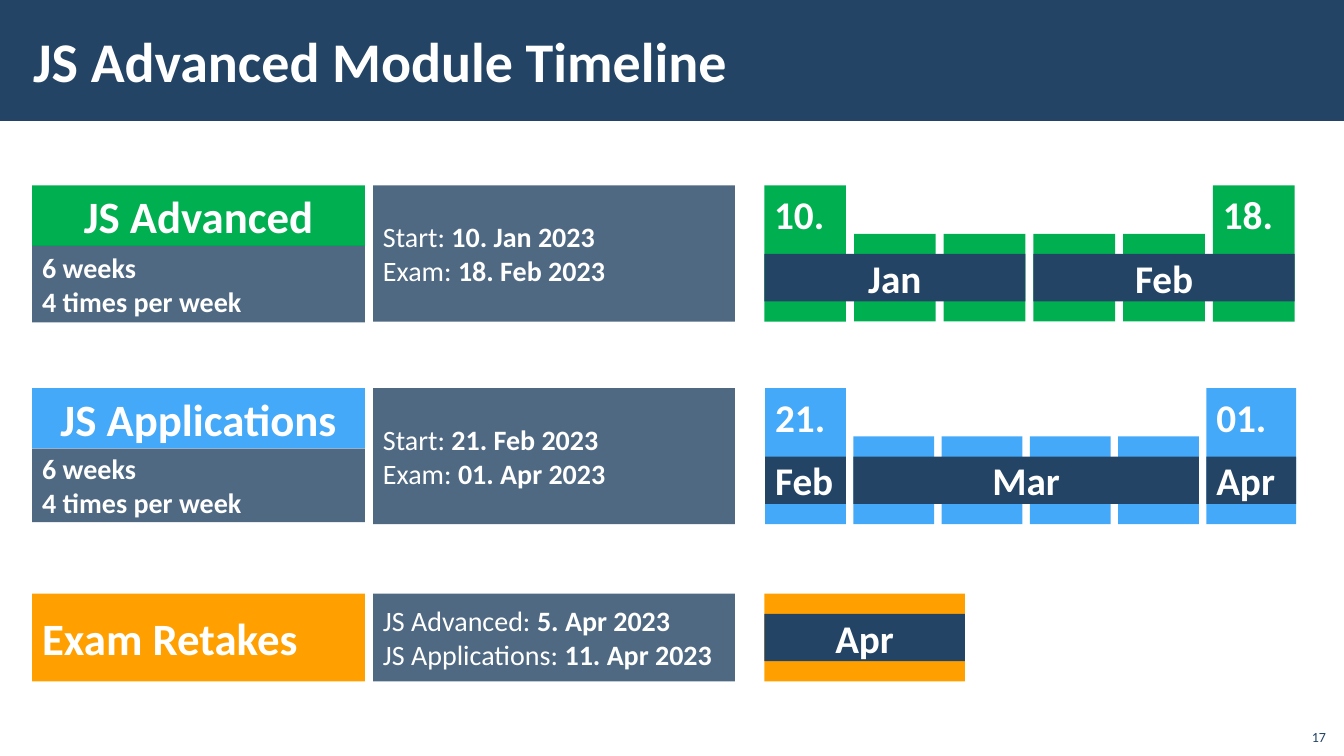
from pptx import Presentation
from pptx.dml.color import RGBColor
from pptx.enum.shapes import MSO_SHAPE as Shape
from pptx.enum.text import MSO_ANCHOR as Anchor, PP_ALIGN as Align
from pptx.oxml.xmlchemy import OxmlElement
from pptx.util import Inches, Pt

NAVY = RGBColor(0x23, 0x44, 0x65)
GREEN = RGBColor(0x00, 0xB0, 0x50)
BLUE = RGBColor(0x44, 0xA9, 0xF8)
ORANGE = RGBColor(0xFF, 0xA0, 0x00)
WHITE = RGBColor(0xFF, 0xFF, 0xFF)

FONT = "Calibri"
LABEL_LEFT, LABEL_WIDTH = 0.32, 3.3
DATES_LEFT, DATES_WIDTH = 3.7, 3.59
LABEL_HEIGHT, MODULE_HEIGHT = 0.6, 1.35
BAR_DROP, BAR_HEIGHT = 0.48, 0.87
MONTH_DROP, MONTH_HEIGHT = 0.68, 0.47
WEEKS = 6


def write(shape, lines, size, color=WHITE, align=Align.LEFT,
          anchor=Anchor.MIDDLE, inset_x=0.1, inset_y=0.05):
    """Fill a shape with lines, each a list of (text, bold) spans."""
    frame = shape.text_frame
    settings = {
        "word_wrap": True, "vertical_anchor": anchor,
        "margin_left": Inches(inset_x), "margin_right": Inches(inset_x),
        "margin_top": Inches(inset_y), "margin_bottom": Inches(inset_y),
    }
    for name, value in settings.items():
        setattr(frame, name, value)
    for index, line in enumerate(lines):
        para = frame.add_paragraph() if index else frame.paragraphs[0]
        para.alignment = align
        for text, bold in line:
            span = para.add_run()
            span.text = text
            span.font.color.rgb = color
            for name, value in {"name": FONT, "size": Pt(size), "bold": bold}.items():
                setattr(span.font, name, value)


def add_box(shapes, left, top, width, height, fill, opacity=100):
    box = shapes.add_shape(Shape.RECTANGLE, Inches(left), Inches(top),
                           Inches(width), Inches(height))
    box.shadow.inherit = False
    box.fill.solid()
    box.fill.fore_color.rgb = fill
    box.line.fill.background()
    if opacity < 100:
        alpha = OxmlElement("a:alpha")
        alpha.set("val", str(opacity * 1000))
        box.fill._xPr.solidFill[0].append(alpha)
    return box


def add_text(slide, left, top, width, height, text, size, bold, **style):
    box = slide.shapes.add_textbox(Inches(left), Inches(top),
                                   Inches(width), Inches(height))
    write(box, [[(text, bold)]], size, **style)


def add_label(slide, top, height, text, fill, align=Align.CENTER):
    label = add_box(slide.shapes, LABEL_LEFT, top, LABEL_WIDTH, height, fill)
    write(label, [[(text, True)]], 32, align=align)


def add_dates(slide, top, height, dates):
    panel = add_box(slide.shapes, DATES_LEFT, top, DATES_WIDTH, height, NAVY, 80)
    write(panel, [[(event + ": ", False), (day, True)] for event, day in dates], 20)


def add_month(shapes, left, top, width, name, align=Align.CENTER):
    month = add_box(shapes, left, top, width, MONTH_HEIGHT, NAVY)
    write(month, [[(name, True)]], 28, align=align, inset_y=0)


def add_calendar(slide, top, fill, left, step, width, last_width, days, months):
    """Draw one bar per week, tall at both ends, under the month bands."""
    shapes = slide.shapes.add_group_shape().shapes
    lefts = [left + week * step for week in range(WEEKS)]
    widths = [width] * (WEEKS - 1) + [last_width]
    for week in range(WEEKS):
        if week in days:
            bar = add_box(shapes, lefts[week], top, widths[week], MODULE_HEIGHT, fill)
            write(bar, [[(days[week], True)]], 28, anchor=Anchor.TOP)
        else:
            add_box(shapes, lefts[week], top + BAR_DROP, widths[week], BAR_HEIGHT, fill)
    for name, first, last in months:
        span = lefts[last] + widths[last] - lefts[first]
        align = Align.LEFT if first == last else Align.CENTER
        add_month(shapes, lefts[first], top + MONTH_DROP, span, name, align)


def add_module(slide, top, name, fill, weeks_height, start, exam, **calendar):
    add_label(slide, top, LABEL_HEIGHT, name, fill)
    weeks = add_box(slide.shapes, LABEL_LEFT, top + LABEL_HEIGHT, LABEL_WIDTH,
                    weeks_height, NAVY, 80)
    write(weeks, [[("6 weeks", True)], [("4 times per week", True)]], 20)
    add_dates(slide, top, MODULE_HEIGHT, [("Start", start), ("Exam", exam)])
    days = {0: start[:3], WEEKS - 1: exam[:3]}
    add_calendar(slide, top, fill, days=days, **calendar)


def add_retakes(slide, top, height):
    add_label(slide, top, height, "Exam Retakes", ORANGE, Align.LEFT)
    add_dates(slide, top, height, [("JS Advanced", "5. Apr 2023"),
                                   ("JS Applications", "11. Apr 2023")])
    shapes = slide.shapes.add_group_shape().shapes
    add_box(shapes, 7.58, top, 1.99, height, ORANGE)
    add_month(shapes, 7.58, top + 0.2, 1.99, "Apr")


def main():
    deck = Presentation()
    deck.slide_width, deck.slide_height = Inches(13.33), Inches(7.5)
    page = deck.slides.add_slide(deck.slide_layouts[6])

    # Header and page number
    add_box(page.shapes, 0, 0, 13.33, 1.2, NAVY)
    add_text(page, 0.21, 0.11, 10.63, 0.97, "JS Advanced Module Timeline", 40, True,
             inset_x=0.12, inset_y=0.04)
    add_text(page, 12.85, 7.12, 0.4, 0.32, "17", 10, False, color=NAVY,
             align=Align.RIGHT, anchor=Anchor.BOTTOM)

    # Course modules
    add_module(page, 1.84, "JS Advanced", GREEN, 0.76, "10. Jan 2023", "18. Feb 2023",
               left=7.58, step=0.89, width=0.81, last_width=0.81,
               months=[("Jan", 0, 2), ("Feb", 3, 5)])
    add_module(page, 3.85, "JS Applications", BLUE, 0.73, "21. Feb 2023", "01. Apr 2023",
               left=7.59, step=0.875, width=0.8, last_width=0.89,
               months=[("Feb", 0, 0), ("Mar", 1, 4), ("Apr", 5, 5)])

    # Exam retakes
    add_retakes(page, 5.89, 0.87)

    deck.save("out.pptx")


if __name__ == "__main__":
    main()
